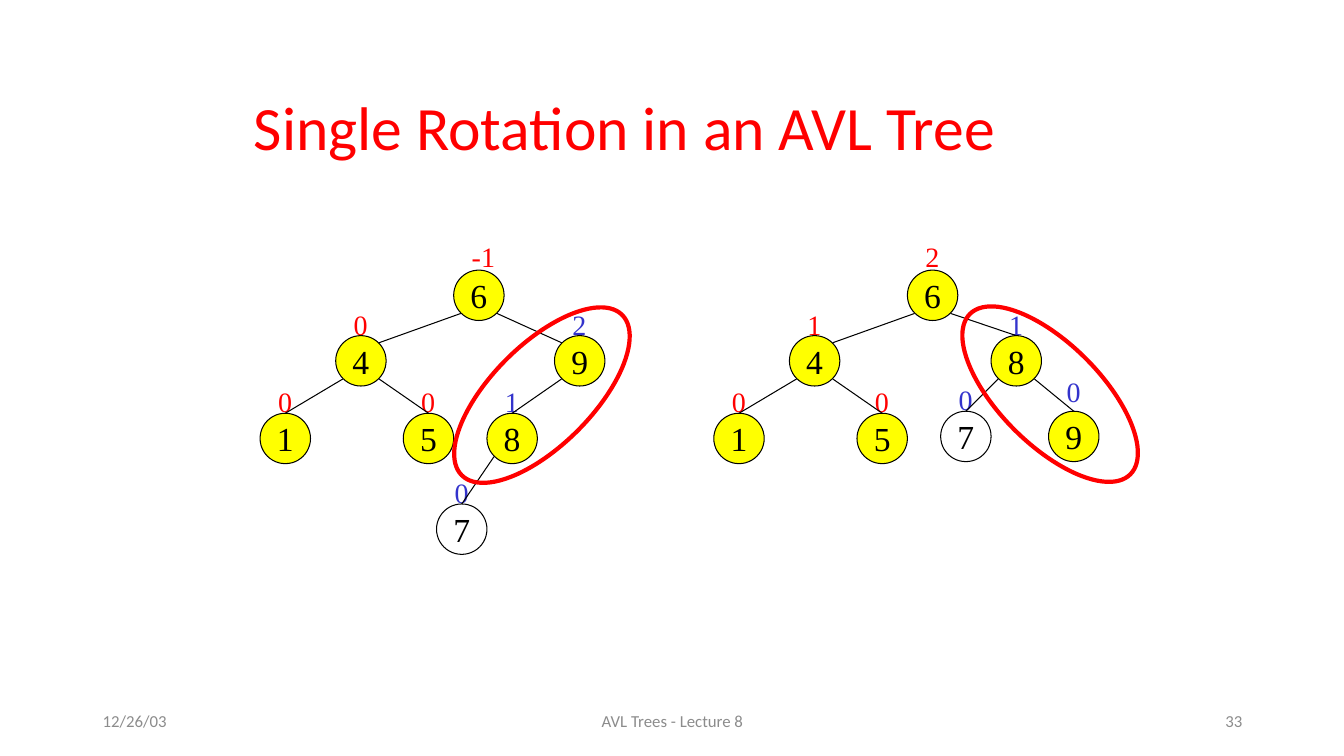
from pptx import Presentation
from pptx.dml.color import RGBColor
from pptx.enum.shapes import MSO_CONNECTOR, MSO_SHAPE
from pptx.enum.text import MSO_ANCHOR, PP_ALIGN
from pptx.util import Inches, Pt
from lxml.etree import SubElement
from pptx.oxml.ns import qn

HUES = {"red": "FF0000", "blue": "3333CC", "fill": "FFFF00", "ink": "000000", "gray": "8C8C8C"}
TITLE = ("Single Rotation in an AVL Tree", (2.42, 0.51, 8.5, 1.57))
FOOT = [
    ("12/26/03", (0.92, 6.95, 3, 0.4), PP_ALIGN.LEFT),
    ("AVL Trees - Lecture 8", (4.42, 6.95, 4.5, 0.4), PP_ALIGN.CENTER),
    ("33", (9.42, 6.95, 3, 0.4), PP_ALIGN.RIGHT),
]
BASE = {6: (4.75, 2.68), 4: (3.58, 3.33), 1: (2.83, 4.1), 5: (4.25, 4.1)}
TREES = [
    {
        "shift": 0,
        "spots": {9: (5.75, 3.33), 8: (5.08, 4.1), 7: (4.58, 5)},
        "tags": {6: "-1", 4: "0", 1: "0", 5: "0", 9: "2", 8: "1", 7: "0"},
        "lift": {6: 0.35},
        "edges": [(6, 4, "side"), (6, 9, "side"), (4, 1, "top"), (4, 5, "top"),
                  (9, 8, "top"), (8, 7, "top")],
        "ring": (4.25, 3.42, 315),
    },
    {
        "shift": 4.5,
        "spots": {8: (5.58, 3.33), 9: (6.15, 4.08), 7: (5.08, 4.08)},
        "tags": {6: "2", 4: "1", 1: "0", 5: "0", 8: "1", 9: "0", 7: "0"},
        "lift": {6: 0.35, 9: 0.41},
        "edges": [(6, 4, "side"), (6, 8, "top"), (4, 1, "top"), (4, 5, "top"),
                  (8, 7, "top"), (8, 9, "top")],
        "ring": (9.29, 3.41, 45),
    },
]
SIZE, DIAG, LIFT = 0.5, 0.18, 0.33
WHITE, BLUE = {7}, {7, 8, 9}
SERIF, SANS = "Times New Roman", "Calibri"

deck = Presentation()
deck.slide_width, deck.slide_height = Inches(13.33), Inches(7.5)
slide = deck.slides.add_slide(deck.slide_layouts[6])
shapes = slide.shapes


def rgb(hue):
    return RGBColor.from_string(HUES[hue])


def write(shape, text, size, face, hue, **form):
    frame = shape.text_frame
    para = frame.paragraphs[0]
    look = {"word_wrap": True, "vertical_anchor": MSO_ANCHOR.MIDDLE, **form}
    for name, value in look.items():
        setattr(para if name in ("alignment", "line_spacing") else frame, name, value)
    run = para.add_run()
    run.text = text
    for name, value in {"size": Pt(size), "name": face}.items():
        setattr(run.font, name, value)
    run.font.color.rgb = rgb(hue)


def label(text, box, *font, **form):
    write(shapes.add_textbox(*map(Inches, box)), text, *font, **form)


def oval(box, line, width, fill=None):
    shape = shapes.add_shape(MSO_SHAPE.OVAL, *map(Inches, box))
    shape.shadow.inherit = False
    if fill:
        shape.fill.solid()
        shape.fill.fore_color.rgb = rgb(fill)
    else:
        shape.fill.background()
    shape.line.color.rgb = rgb(line)
    shape.line.width = Pt(width)
    return shape


def join(tree, spots, nodes):
    for top, low, tip in tree["edges"]:
        (x, y), (cx, cy) = spots[top], spots[low]
        sign = 1 if cx > x else -1
        mid = SIZE / 2
        start = x + sign * DIAG, y + mid + DIAG
        end = (cx - sign * DIAG, cy + mid - DIAG) if tip == "side" else (cx, cy)
        line = shapes.add_connector(MSO_CONNECTOR.STRAIGHT, *map(Inches, start + end))
        if tip == "top":
            line.end_connect(nodes[low], 0)
        line.line.color.rgb = rgb("ink")
        line.line.width = Pt(0.75)
        SubElement(line._element.spPr, qn("a:effectLst"))


def plant(tree):
    spots = {key: (x + tree["shift"], y) for key, (x, y) in {**BASE, **tree["spots"]}.items()}
    for key, tag in tree["tags"].items():
        x, y = spots[key]
        box = x - 0.17, y - tree["lift"].get(key, LIFT), 0.25 + 0.09 * (2 * len(tag) - 1), 0.44
        label(tag, box, 20, SERIF, "blue" if key in BLUE else "red",
              word_wrap=False, vertical_anchor=MSO_ANCHOR.TOP)
    nodes = {}
    for key, (x, y) in spots.items():
        fill = None if key in WHITE else "fill"
        nodes[key] = oval((x - SIZE / 2, y, SIZE, SIZE), "ink", 0.75, fill)
        write(nodes[key], str(key), 24, SERIF, "ink", word_wrap=False, alignment=PP_ALIGN.CENTER)
    join(tree, spots, nodes)


for text, box, side in FOOT:
    label(text, box, 12, SANS, "gray", alignment=side)
label(*TITLE, 44, SANS, "red", line_spacing=0.9)
for tree in TREES:
    plant(tree)
for tree in TREES:
    left, top, turn = tree["ring"]
    oval((left, top, 2.25, 1), "red", 3).rotation = turn

deck.save("out.pptx")
